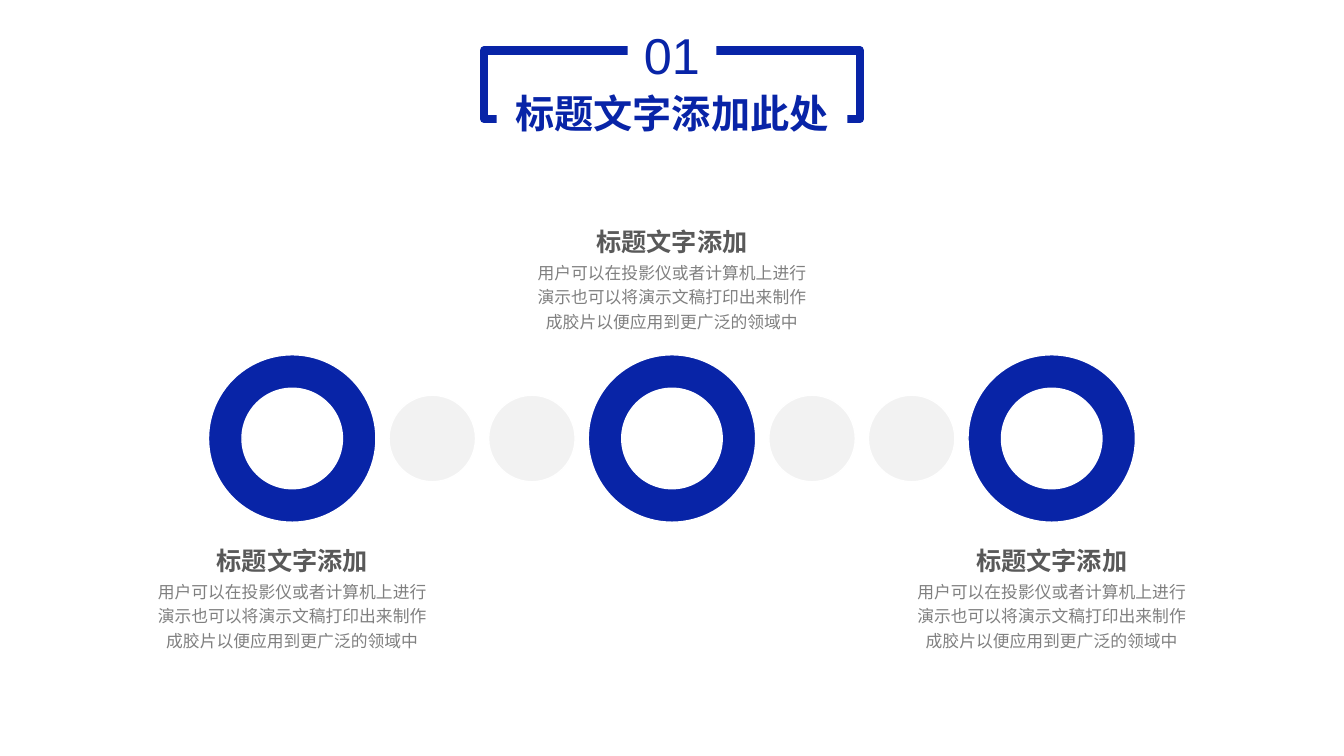
from lxml import etree
from pptx import Presentation
from pptx.dml.color import RGBColor
from pptx.enum.shapes import MSO_SHAPE
from pptx.enum.text import MSO_ANCHOR, PP_ALIGN
from pptx.oxml.ns import qn
from pptx.util import Cm, Pt

RECTANGLE, DONUT, OVAL = MSO_SHAPE.RECTANGLE, MSO_SHAPE.DONUT, MSO_SHAPE.OVAL
TOP, MIDDLE = MSO_ANCHOR.TOP, MSO_ANCHOR.MIDDLE
CENTER = PP_ALIGN.CENTER

BLUE, GREY, WHITE = "0824A7", "F2F2F2", "FFFFFF"
HEADING_COLOR, BODY_COLOR = "595959", "808080"
LATIN_FONT, CHINESE_FONT = "Arial", "Noto Sans CJK SC"

# text, top, width, height, size, bold
TITLE_LABELS = [
    ("01", 0.46, 2.24, 1.8, 36, False),
    ("标题文字添加此处", 2.11, 8.84, 1.45, 28, True),
]
BODY = "用户可以在投影仪或者计算机上进行演示也可以将演示文稿打印出来制作成胶片以便应用到更广泛的领域中"
# heading, body, top
STEPS = [
    ("标题文字添加", BODY, 13.46),
    ("标题文字添加", BODY, 5.42),
    ("标题文字添加", BODY, 13.46),
]

SLIDE_WIDTH, SLIDE_HEIGHT = 33.87, 19.05
RING_SIZE, DOT_SIZE, GAP = 4.22, 2.18, 0.33
DOTS_BETWEEN = 2
ROW_MIDDLE = 11.05
HEADING_WIDTH, HEADING_HEIGHT = 6.22, 1.09
BODY_WIDTH, BODY_HEIGHT, BODY_OFFSET = 7.37, 2.11, 0.98


def rgb(color):
    return RGBColor.from_string(color)


def add_shape(kind, center, top, width, height, fill=None, line=None, line_width=1):
    shape = slide.shapes.add_shape(
        kind, Cm(center - width / 2), Cm(top), Cm(width), Cm(height))
    shape.shadow.inherit = False
    if fill:
        shape.fill.solid()
        shape.fill.fore_color.rgb = rgb(fill)
    else:
        shape.fill.background()
    if line:
        shape.line.color.rgb = rgb(line)
        shape.line.width = Pt(line_width)
    else:
        shape.line.fill.background()
    return shape


def write(shape, text, size, color, font, bold=False, anchor=TOP, spacing=None):
    frame = shape.text_frame
    frame.word_wrap = True
    frame.vertical_anchor = anchor
    paragraph = frame.paragraphs[0]
    paragraph.alignment = CENTER
    paragraph.line_spacing = spacing
    run = paragraph.add_run()
    run.text = text
    run.font.size = Pt(size)
    run.font.bold = bold
    run.font.color.rgb = rgb(color)
    run.font.name = font
    east_asian = etree.SubElement(run.font._element, qn("a:ea"))
    east_asian.set("typeface", CHINESE_FONT)


def add_text(text, center, top, width, height, size, color, bold=False):
    box = slide.shapes.add_textbox(
        Cm(center - width / 2), Cm(top), Cm(width), Cm(height))
    write(box, text, size, color, CHINESE_FONT, bold, spacing=1.2)


presentation = Presentation()
presentation.slide_width = Cm(SLIDE_WIDTH)
presentation.slide_height = Cm(SLIDE_HEIGHT)
slide = presentation.slides.add_slide(presentation.slide_layouts[6])
slide_center = SLIDE_WIDTH / 2

add_shape(RECTANGLE, slide_center, 1.27, 9.47, 1.73, line=BLUE, line_width=6)
for text, top, width, height, size, bold in TITLE_LABELS:
    label = add_shape(RECTANGLE, slide_center, top, width, height, fill=WHITE)
    write(label, text, size, BLUE, LATIN_FONT, bold, MIDDLE)

dot_step = DOT_SIZE + GAP
ring_step = RING_SIZE + GAP + DOTS_BETWEEN * dot_step
first_center = slide_center - ring_step * (len(STEPS) - 1) / 2
for index, (heading, body, top) in enumerate(STEPS):
    center = first_center + index * ring_step
    ring = add_shape(DONUT, center, ROW_MIDDLE - RING_SIZE / 2,
                     RING_SIZE, RING_SIZE, BLUE, WHITE)
    ring.adjustments[0] = 0.2
    if index < len(STEPS) - 1:
        first_dot = center + RING_SIZE / 2 + GAP + DOT_SIZE / 2
        for dot in range(DOTS_BETWEEN):
            add_shape(OVAL, first_dot + dot * dot_step, ROW_MIDDLE - DOT_SIZE / 2,
                      DOT_SIZE, DOT_SIZE, GREY, WHITE)
    add_text(body, center, top + BODY_OFFSET, BODY_WIDTH, BODY_HEIGHT, 12, BODY_COLOR)
    add_text(heading, center, top, HEADING_WIDTH, HEADING_HEIGHT, 18, HEADING_COLOR, True)

presentation.save("out.pptx")
